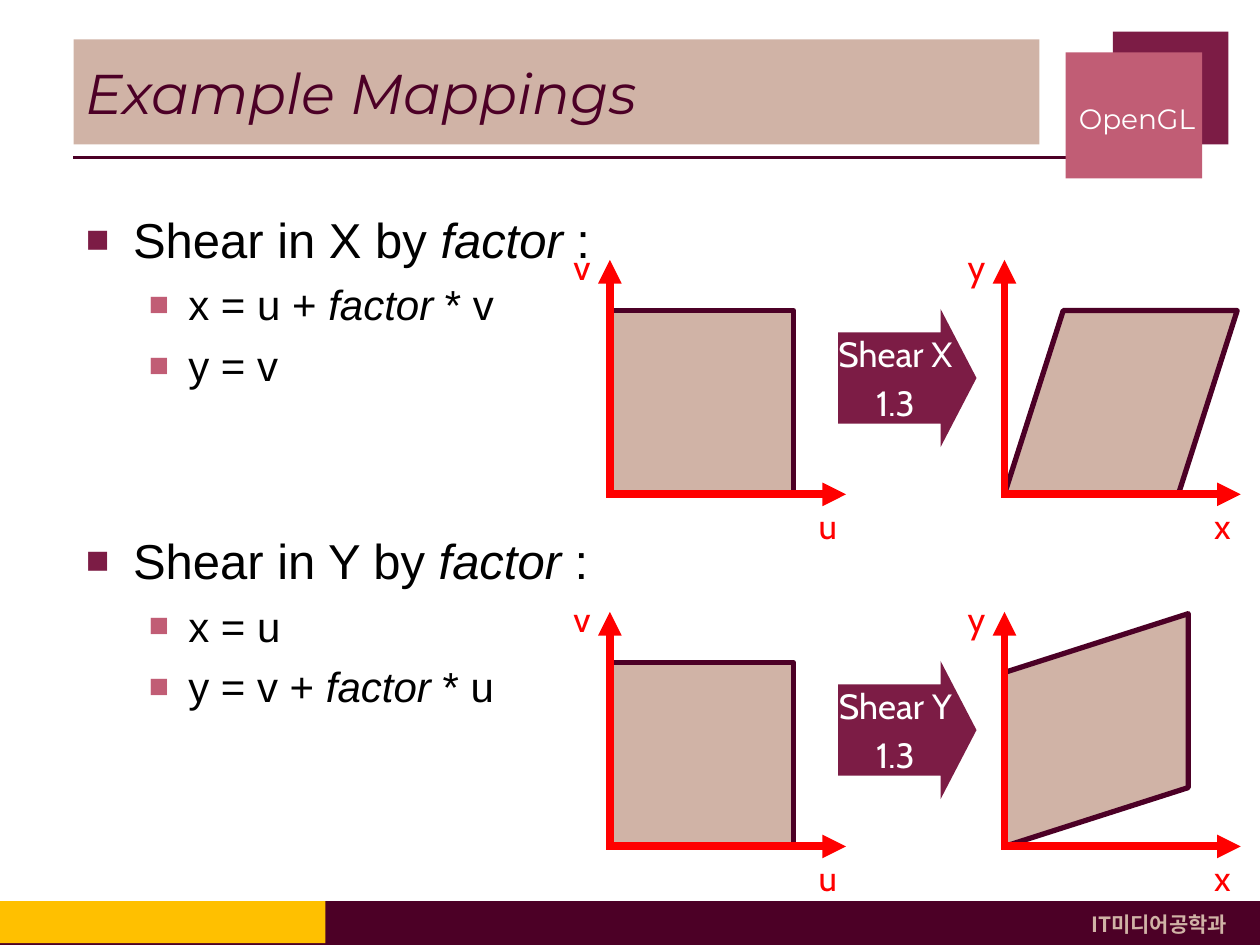
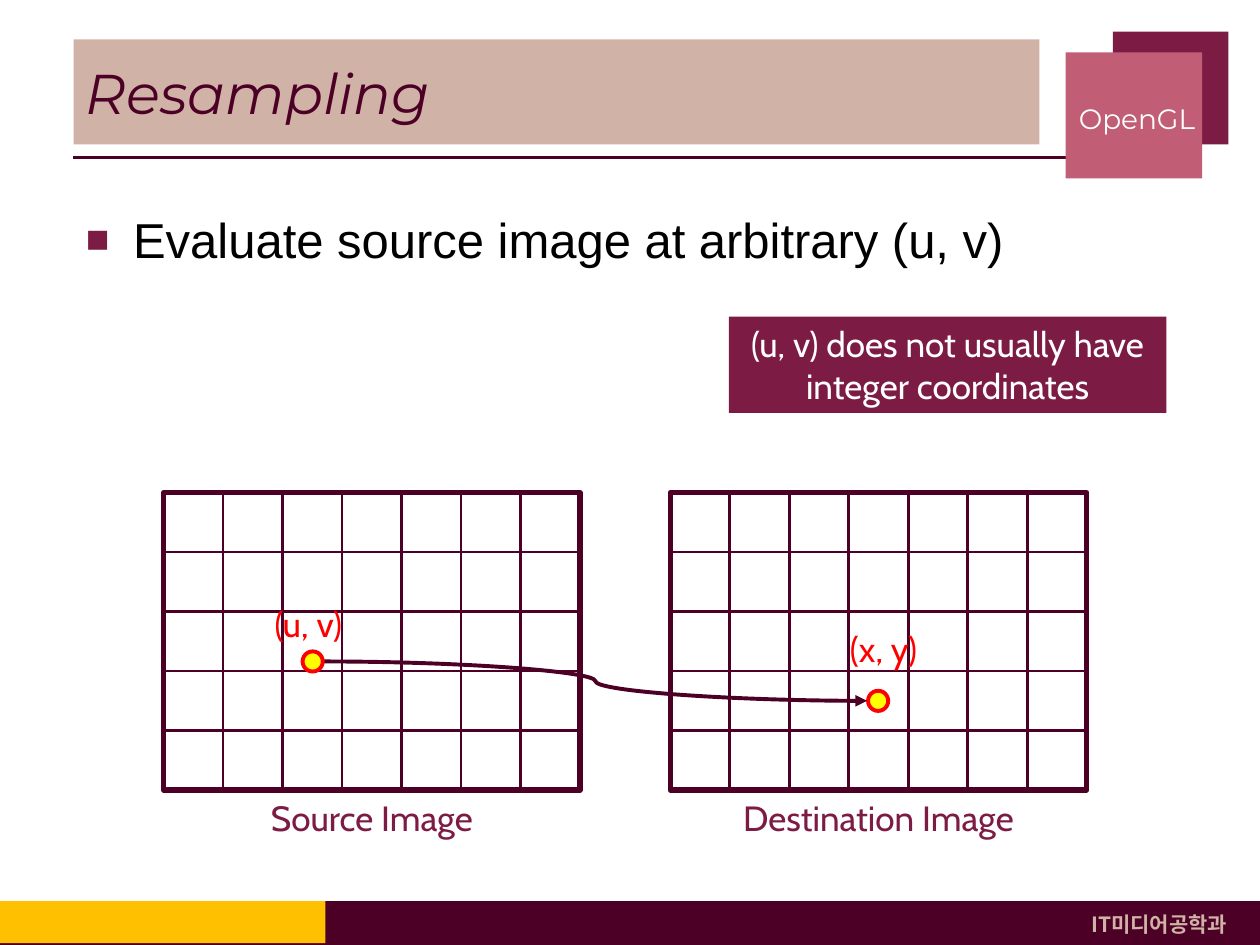
import pptx
import pptx.util
import pptx.dml.color
import pptx.enum.shapes
import pptx.enum.text
import pptx.oxml.ns
import pptx.oxml.xmlchemy
from dataclasses import dataclass

Pt = pptx.util.Pt
Kind = pptx.enum.shapes.MSO_SHAPE
Link = pptx.enum.shapes.MSO_CONNECTOR
Align = pptx.enum.text.PP_ALIGN
Anchor = pptx.enum.text.MSO_ANCHOR
qn = pptx.oxml.ns.qn


@dataclass(frozen=True)
class Theme:
    dark: str = "4C0026"
    wine: str = "7C1C45"
    rose: str = "C15D75"
    sand: str = "D0B3A6"
    gold: str = "FFC000"
    red: str = "FF0000"
    yellow: str = "FFFF00"
    white: str = "FFFFFF"
    black: str = "000000"
    head: str = "Montserrat"
    body: str = "Arial"
    label: str = "Cabin"
    asian: str = "Noto Sans CJK KR"
    title: int = 32
    point: int = 28
    sub: int = 24
    note: int = 20
    tag: int = 16
    foot: int = 12


T = Theme()


def rgb(code):
    return pptx.dml.color.RGBColor.from_string(code)


def tag(parent, name, **attrs):
    """Append a drawing element with the given attributes."""
    node = pptx.oxml.xmlchemy.OxmlElement(name)
    for key, value in attrs.items():
        node.set(key, str(value))
    parent.append(node)
    return node


def shape(slide, box, kind=Kind.RECTANGLE, fill=None, line=None, width=1):
    item = slide.shapes.add_shape(kind, *map(Pt, box))
    item.shadow.inherit = False
    if fill:
        item.fill.solid()
        item.fill.fore_color.rgb = rgb(fill)
    else:
        item.fill.background()
    if line:
        item.line.color.rgb = rgb(line)
        item.line.width = Pt(width)
    else:
        item.line.fill.background()
    return item


def line(slide, start, end, color, width, arrow=False, kind=Link.STRAIGHT):
    item = slide.shapes.add_connector(kind, *map(Pt, start + end))
    item.line.color.rgb = rgb(color)
    item.line.width = Pt(width)
    if arrow:
        tag(item.line._get_or_add_ln(), "a:tailEnd", type="triangle")
    tag(item._element.spPr, "a:effectLst")


def bullet(para, left, hang, color):
    props = para._p.get_or_add_pPr()
    props.set("marL", str(Pt(left)))
    props.set("indent", str(-Pt(hang)))
    tag(tag(props, "a:buClr"), "a:srgbClr", val=color)
    tag(props, "a:buSzPct", val=80000)
    tag(props, "a:buFont", typeface=T.body)
    tag(props, "a:buChar", char="■")


def write(item, text, font=T.label, size=T.note, color=T.white, bold=False,
          italic=False, align=Align.CENTER, anchor=Anchor.TOP, wrap=False,
          gap=0, mark=None, more=False):
    """Write lines of text; underscores switch italics on and off."""
    frame = item.text_frame
    frame.word_wrap = wrap
    frame.vertical_anchor = anchor
    frame.margin_left = frame.margin_right = Pt(7.2)
    frame.margin_top = frame.margin_bottom = Pt(3.6)
    for row, words in enumerate(text.split("\n")):
        fresh = row == 0 and not more
        para = frame.paragraphs[0] if fresh else frame.add_paragraph()
        para.alignment = align
        if not fresh:
            para.space_before = Pt(gap)
        if mark:
            bullet(para, *mark)
        for turn, part in enumerate(words.split("_")):
            if not part:
                continue
            run = para.add_run()
            run.text = part
            face = run.font
            face.name, face.size = font, Pt(size)
            face.bold, face.italic = bold, italic or turn % 2 == 1
            face.color.rgb = rgb(color)
            if font == T.asian:
                tag(run._r.get_or_add_rPr(), "a:ea", typeface=font)


def label(slide, text, mid, top, wide, **fmt):
    """Text box centred on mid."""
    box = slide.shapes.add_textbox(*map(Pt, (mid - wide / 2, top, wide, 31)))
    write(box, text, **fmt)


def base(deck, title):
    slide = deck.slides.add_slide(deck.slide_layouts[6])
    # Corner squares and rule
    line(slide, (42, 90), (612, 90), T.dark, 2.25)
    shape(slide, (636, 18, 66, 64.5), fill=T.wine)
    shape(slide, (609, 30, 78, 72), fill=T.rose)
    logo = slide.shapes.add_textbox(*map(Pt, (609, 43.5, 81, 48)))
    write(logo, "OpenGL", font=T.head, size=T.tag, align=Align.RIGHT,
          anchor=Anchor.MIDDLE)
    # Footer band
    shape(slide, (0, 515, 720, 25), fill=T.dark)
    dept = shape(slide, (605.5, 517, 114, 21.6), fill=T.dark)
    write(dept, "IT미디어공학과", font=T.asian, size=T.foot, color=T.sand,
          bold=True, anchor=Anchor.MIDDLE, wrap=True)
    shape(slide, (0, 515, 186, 24), fill=T.gold)
    # Title bar
    bar = shape(slide, (42, 22.5, 552, 60), fill=T.sand)
    write(bar, title, font=T.head, size=T.title, color=T.dark, italic=True,
          align=Align.LEFT, anchor=Anchor.MIDDLE, wrap=True)
    return slide


def body(slide, topics):
    """Topics are pairs of a heading and its sub-points."""
    box = slide.shapes.add_textbox(*map(Pt, (42, 116, 642, 388)))
    plain = dict(font=T.body, color=T.black, align=Align.LEFT, wrap=True)
    for place, (head, subs) in enumerate(topics):
        write(box, head, size=T.point, gap=80.5, more=place > 0,
              mark=(27, 27, T.wine), **plain)
        if subs:
            write(box, subs, size=T.sub, gap=6, more=True,
                  mark=(58.5, 22.5, T.rose), **plain)


def axes(slide, x, y, across, up):
    """Axes from the origin (x, y), with their names."""
    line(slide, (x, y + 2), (x, y - 134), T.red, 4.5, arrow=True)
    line(slide, (x - 1, y), (x + 135, y), T.red, 4.5, arrow=True)
    label(slide, across, x + 124.5, y + 2, 26, color=T.red)
    label(slide, up, x - 16, y - 146, 26, color=T.red)


def shear(slide, y, name, upright):
    """One row: unit square, arrow and sheared result; y is the u axis."""
    left, right, side, long = 348.5, 574, 105, 133
    edge = dict(fill=T.sand, line=T.dark, width=3)
    # Operation arrow
    arrow = shape(slide, (479, y - 106, 79, 79), Kind.RIGHT_ARROW, fill=T.wine)
    arrow.adjustments[0], arrow.adjustments[1] = 0.66, 0.26
    write(arrow, name + "\n1.3", gap=4, anchor=Anchor.MIDDLE)
    # Source square
    shape(slide, (left, y - side, side, side), **edge)
    axes(slide, left, y, "u", "v")
    # Sheared square, turned on end for a vertical shear
    shift = (long - side) / 2 if upright else 0
    skew = shape(slide, (right - shift, y - side - shift, long, side),
                 Kind.PARALLELOGRAM, **edge)
    skew.adjustments[0] = 0.32
    if upright:
        skew.rotation = 270
        skew._element.spPr.find(qn("a:xfrm")).set("flipH", "1")
    axes(slide, right, y, "x", "y")


def grid(slide, x, y, name, cell=34, cols=7, rows=5):
    """Pixel grid with its caption."""
    wide, high = cols * cell, rows * cell
    shape(slide, (x, y, wide, high), line=T.dark, width=3)
    for row in range(rows):
        for col in range(cols):
            shape(slide, (x + col * cell, y + row * cell, cell, cell),
                  line=T.dark, width=1.5)
    label(slide, name, x + wide / 2, y + high, 176, color=T.wine)


def dot(slide, x, y, name, dx, dy):
    """Sample point centred on (x, y), its name moved by (dx, dy)."""
    size = 11.5
    shape(slide, (x - size / 2, y - size / 2, size, size), Kind.OVAL,
          fill=T.yellow, line=T.red, width=2.25)
    label(slide, name, x + dx, y + dy, 63, color=T.red)


def mapping(deck):
    slide = base(deck, "Example Mappings")
    body(slide, [("Shear in X by _factor_ :", "x = u + _factor_ * v\ny = v"),
                 ("Shear in Y by _factor_ :", "x = u\ny = v + _factor_ * u")])
    shear(slide, 282.5, "Shear X", False)
    shear(slide, 483.7, "Shear Y", True)


def sampling(deck):
    slide = base(deck, "Resampling")
    body(slide, [("Evaluate source image at arbitrary (u, v)", "")])
    # Remark
    note = shape(slide, (416.5, 181, 250, 55), fill=T.wine)
    write(note, "(u, v) does not usually have integer coordinates", wrap=True)
    # Grids
    grid(slide, 93.5, 281.5, "Source Image")
    grid(slide, 383, 281.5, "Destination Image")
    # Samples and the curve between them
    dot(slide, 501.8, 400.5, "(x, y)", 3, -45.5)
    line(slide, (185, 378), (495.5, 400.5), T.dark, 2.25, arrow=True,
         kind=Link.CURVE)
    dot(slide, 178.7, 378, "(u, v)", -2.5, -37.5)


def main():
    deck = pptx.Presentation()
    deck.slide_width, deck.slide_height = Pt(720), Pt(540)
    mapping(deck)
    sampling(deck)
    deck.save("out.pptx")


if __name__ == "__main__":
    main()
